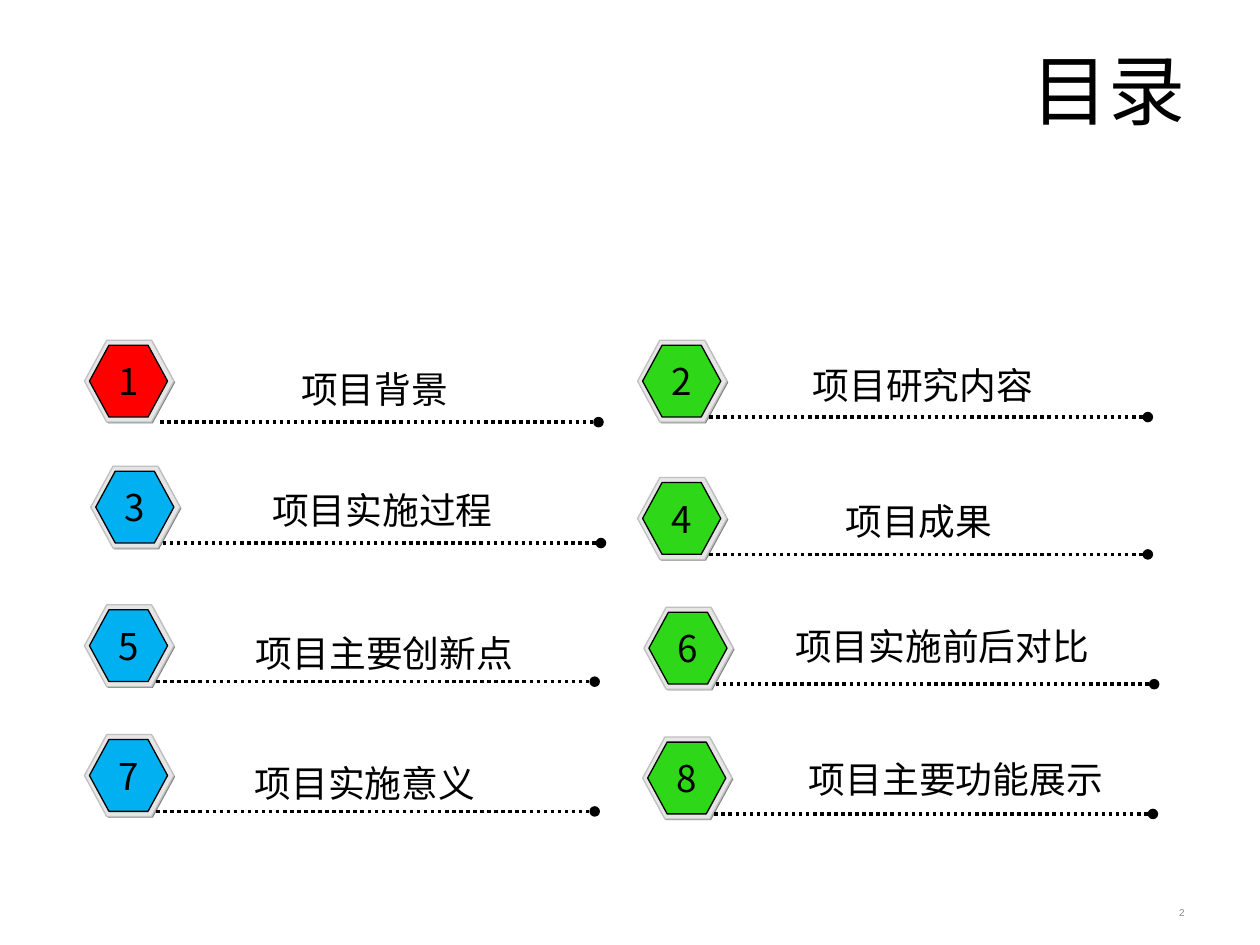
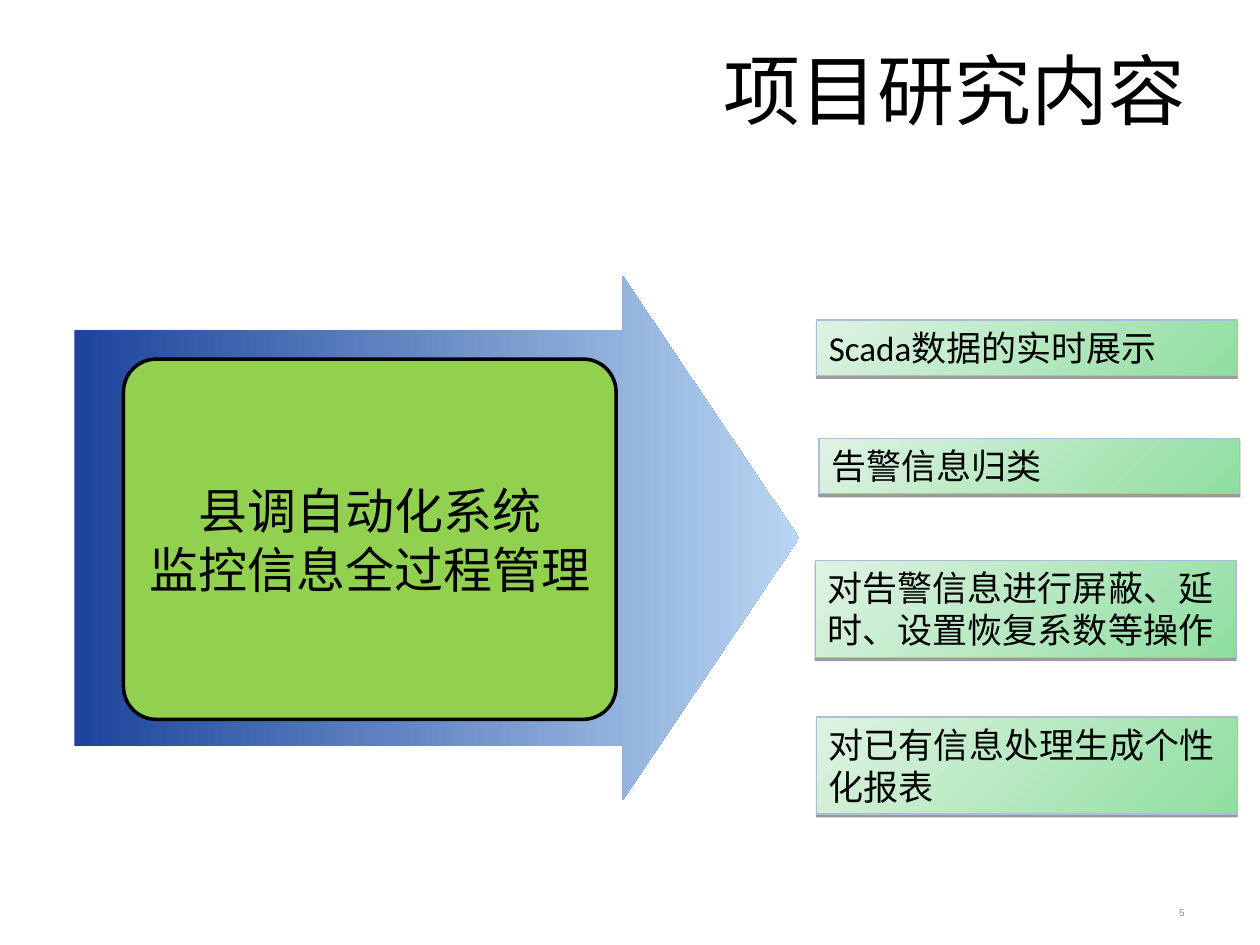
from dataclasses import dataclass

import pptx
import pptx.dml.color
import pptx.enum.dml
import pptx.enum.shapes
import pptx.enum.text
import pptx.oxml
import pptx.oxml.ns
import pptx.util
from pptx.util import Inches

SHAPE = pptx.enum.shapes.MSO_SHAPE
ALIGN = pptx.enum.text.PP_ALIGN
ANCHOR = pptx.enum.text.MSO_ANCHOR
FIT = pptx.enum.text.MSO_AUTO_SIZE


@dataclass(frozen=True)
class Theme:
    black: str = "000000"
    grey: str = "898989"
    shade: str = "808080"
    shell: str = "E6E6E6"
    rim: str = "C0C0C0"
    red: str = "FF0000"
    green: str = "2ED717"
    blue: str = "00B0F0"
    lime: str = "92D050"
    edge: str = "ADBCD7"
    arrow: tuple = ("1D449C", "B8D6F2")
    mint: tuple = ("8FDEA0", "DFF3E3")
    latin: str = "Calibri"
    sans: str = "Arial"
    asian: str = "Noto Sans CJK SC"
    title: float = 44
    core: float = 28
    label: float = 21
    note: float = 20
    page: float = 5.7


THEME = Theme()


def color(code):
    return pptx.dml.color.RGBColor.from_string(code)


def add_xml(parent, tag, inner="", **attrs):
    """Append one DrawingML element to parent."""
    pairs = "".join(f' {key}="{value}"' for key, value in attrs.items())
    space = pptx.oxml.ns.nsdecls("a")
    parent.append(pptx.oxml.parse_xml(f"<a:{tag} {space}{pairs}>{inner}</a:{tag}>"))


def write(frame, text, size, font, align=ALIGN.LEFT, code=THEME.black,
          inset=(0.1, 0.05), anchor=ANCHOR.TOP, wrap=True, fit=FIT.NONE):
    frame.text = text
    frame.word_wrap = wrap
    frame.auto_size = fit
    frame.vertical_anchor = anchor
    frame.margin_left = frame.margin_right = Inches(inset[0])
    frame.margin_top = frame.margin_bottom = Inches(inset[1])
    for para in frame.paragraphs:
        para.alignment = align
        para.font.size = pptx.util.Pt(size)
        para.font.color.rgb = color(code)
        para.font.name = font
        add_xml(para.font._element, "ea", typeface=THEME.asian)


def add_text(shapes, box, text, size, font, **style):
    item = shapes.add_textbox(*map(Inches, box))
    write(item.text_frame, text, size, font, **style)


def add_block(shapes, kind, box, fill, line=None, width=0.75, adjust=(), angle=0):
    """Add a preset shape; a pair of colours as fill makes a gradient."""
    block = shapes.add_shape(kind, *map(Inches, box))
    block.shadow.inherit = False
    for index, value in enumerate(adjust):
        block.adjustments[index] = value
    if isinstance(fill, tuple):
        block.fill.gradient()
        block.fill.gradient_angle = angle
        for stop, code, place in zip(block.fill.gradient_stops, fill, (0, 1)):
            stop.color.rgb = color(code)
            stop.position = place
    else:
        block.fill.solid()
        block.fill.fore_color.rgb = color(fill)
    if line:
        block.line.color.rgb = color(line)
        block.line.width = pptx.util.Pt(width)
    else:
        block.line.fill.background()
    return block


def add_rule(shapes, left, top, length):
    """Add a dotted line that ends in a dot."""
    rule = shapes.add_connector(pptx.enum.shapes.MSO_CONNECTOR.STRAIGHT,
                                Inches(left), Inches(top),
                                Inches(left + length), Inches(top))
    rule.line.color.rgb = color(THEME.black)
    rule.line.width = pptx.util.Pt(2)
    rule.line.dash_style = pptx.enum.dml.MSO_LINE.ROUND_DOT
    add_xml(rule.line._get_or_add_ln(), "tailEnd", type="oval")
    add_xml(rule._element.spPr, "effectLst")


def add_entry(slide, number, fill, badge, label, text, shift=(0.57, 0.61)):
    """Add a numbered hexagon, its dotted line and its label."""
    left, top = badge
    shapes = slide.shapes.add_group_shape().shapes
    for dx, dy, wide, high, tone, line in (
            (0.01, 0.01, 0.71, 0.65, THEME.shade, None),
            (0, 0, 0.71, 0.65, THEME.shell, THEME.rim),
            (0.04, 0.04, 0.62, 0.57, fill, THEME.black)):
        add_block(shapes, SHAPE.HEXAGON, (left + dx, top + dy, wide, high),
                  tone, line, adjust=(0.272,))
    add_rule(shapes, left + shift[0], top + shift[1], 3.48)
    add_text(shapes, (left + 0.17, top + 0.1, 0.36, 0.45), str(number),
             THEME.label, THEME.asian, align=ALIGN.CENTER, wrap=False,
             fit=FIT.SHAPE_TO_FIT_TEXT)
    width = 0.24 + THEME.label / 72 * len(text)
    add_text(slide.shapes, (*label, width, 0.44), text, THEME.label, THEME.asian,
             inset=(0.09, 0.04), wrap=False)


def add_note(slide, box, text, font):
    note = add_block(slide.shapes, SHAPE.RECTANGLE, box, THEME.mint, THEME.edge,
                     angle=135)
    props = note._element.spPr
    props.remove(props.find(pptx.oxml.ns.qn("a:effectLst")))
    tint = f'<a:srgbClr val="{THEME.black}"><a:alpha val="38000"/></a:srgbClr>'
    cast = (f'<a:outerShdw blurRad="0" dist="{pptx.util.Pt(1.6)}" dir="5400000" '
            f'rotWithShape="0">{tint}</a:outerShdw>')
    add_xml(props, "effectLst", cast)
    write(note.text_frame, text, THEME.note, font, fit=FIT.SHAPE_TO_FIT_TEXT)


def add_slide(deck, title, page):
    slide = deck.slides.add_slide(deck.slide_layouts[5])
    head = slide.shapes.title
    head.left, head.top, head.width, head.height = map(Inches, (0.5, 0.3, 9, 1.25))
    write(head.text_frame, title, THEME.title, THEME.latin, align=ALIGN.RIGHT,
          inset=(0.09, 0.04))
    add_text(slide.shapes, (7.17, 7.04, 2.33, 0.4), str(page), THEME.page,
             THEME.sans, align=ALIGN.RIGHT, code=THEME.grey, anchor=ANCHOR.MIDDLE)
    return slide


def build_contents(deck):
    slide = add_slide(deck, "目录", 2)
    red, green, blue = THEME.red, THEME.green, THEME.blue
    add_entry(slide, 1, red, (0.67, 2.7), (2.3, 2.87), "项目背景", (0.6, 0.65))
    entries = (
        (green, (5.06, 2.7), (6.36, 2.84), "项目研究内容"),
        (blue, (0.72, 3.7), (2.07, 3.83), "项目实施过程"),
        (green, (5.06, 3.79), (6.62, 3.92), "项目成果"),
        (blue, (0.67, 4.8), (1.94, 4.97), "项目主要创新点"),
        (green, (5.11, 4.82), (6.22, 4.91), "项目实施前后对比"),
        (blue, (0.67, 5.83), (1.93, 6), "项目实施意义"),
        (green, (5.1, 5.85), (6.33, 5.97), "项目主要功能展示"),
    )
    for number, entry in enumerate(entries, 2):
        add_entry(slide, number, *entry)


def build_research(deck):
    slide = add_slide(deck, "项目研究内容", 5)
    add_block(slide.shapes, SHAPE.RIGHT_ARROW, (0.59, 2.19, 5.75, 4.16),
              THEME.arrow, adjust=(0.793, 0.336))
    core = add_block(slide.shapes, SHAPE.ROUNDED_RECTANGLE, (0.98, 2.85, 3.91, 2.86),
                     THEME.lime, THEME.black, 2, adjust=(0.091,))
    write(core.text_frame, "县调自动化系统\n监控信息全过程管理", THEME.core, THEME.sans,
          align=ALIGN.CENTER, anchor=ANCHOR.MIDDLE, wrap=False)
    for left, top, high, font, text in (
            (6.48, 2.54, 0.44, THEME.latin, "Scada数据的实时展示"),
            (6.5, 3.48, 0.44, THEME.latin, "告警信息归类"),
            (6.47, 4.45, 0.77, THEME.latin, "对告警信息进行屏蔽、延时、设置恢复系数等操作"),
            (6.48, 5.69, 0.77, THEME.sans, "对已有信息处理生成个性化报表")):
        add_note(slide, (left, top, 3.34, high), text, font)


def main():
    deck = pptx.Presentation()
    deck.slide_width, deck.slide_height = Inches(10), Inches(7.5)
    build_contents(deck)
    build_research(deck)
    deck.save("out.pptx")


if __name__ == "__main__":
    main()
